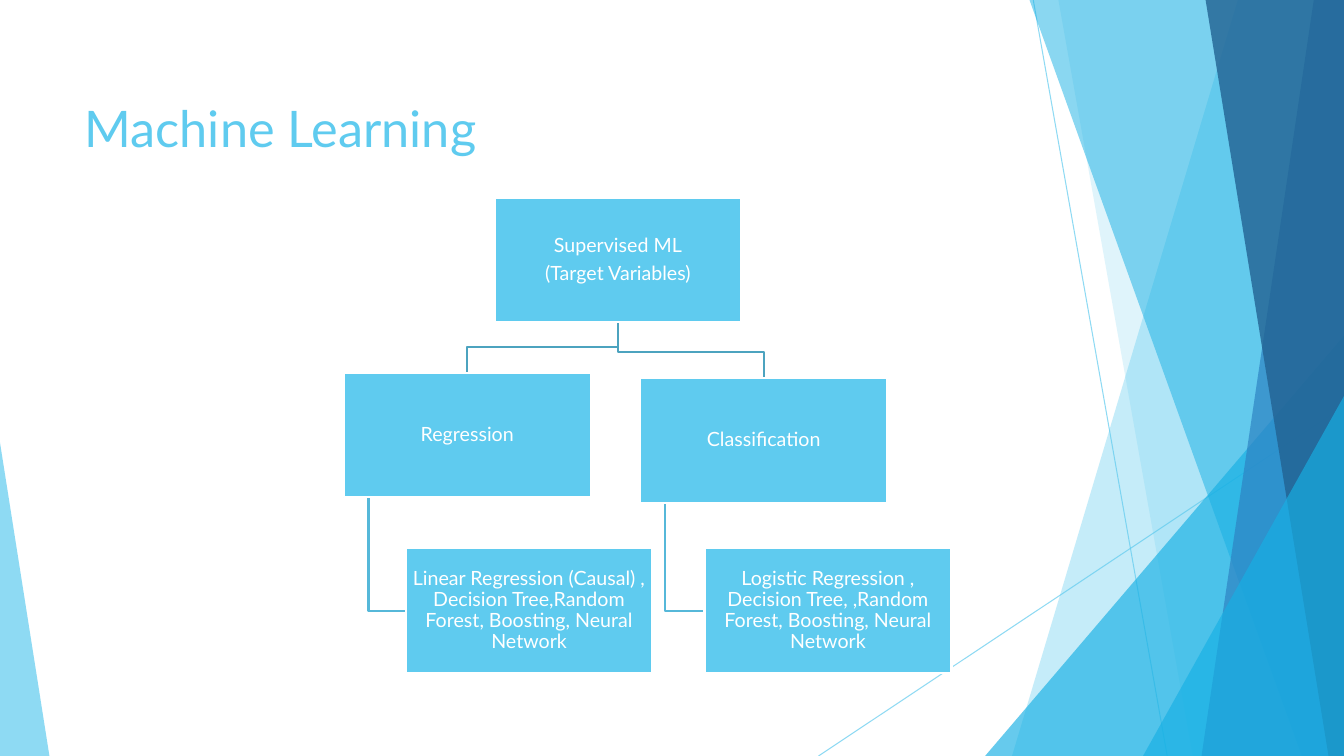
from lxml import etree
from pptx import Presentation
from pptx import util as u
from pptx.dml.color import RGBColor
from pptx.enum import shapes, text
from pptx.oxml.ns import qn

COLOURS = {"sky": "5FCBEF", "cyan": "17B0E4", "blue": "2E83C3", "navy": "226292",
           "trunk": "4CA3BF", "twig": "56B8D9", "white": "FFFFFF"}
FONT = "Lato"
WIDTH, HEIGHT = u.Inches(13.33), u.Inches(7.5)


def paint(fill, colour):
    """Give a fill one solid colour."""
    fill.solid()
    fill.fore_color.rgb = RGBColor.from_string(COLOURS[colour])


def fade(shape, percent):
    """Set the opacity of every colour in the shape's properties."""
    for colour in list(shape.element.spPr.iter(qn("a:srgbClr"))):
        etree.SubElement(colour, qn("a:alpha"), val=str(percent * 1000))


def write(frame, lines, size, colour, align, anchor, inset=(0.1, 0.05), spacing=None, after=0):
    """Fill a text frame with formatted paragraphs."""
    frame.word_wrap = True
    frame.auto_size = text.MSO_AUTO_SIZE.NONE
    frame.vertical_anchor = anchor
    frame.margin_left = frame.margin_right = u.Inches(inset[0])
    frame.margin_top = frame.margin_bottom = u.Inches(inset[1])
    for index, line in enumerate(lines):
        paragraph = frame.add_paragraph() if index else frame.paragraphs[0]
        paragraph.alignment = align
        paragraph.line_spacing = spacing
        paragraph.space_before, paragraph.space_after = u.Pt(0), u.Pt(after)
        run = paragraph.add_run()
        run.text = line
        run.font.name, run.font.size = FONT, u.Pt(size)
        run.font.color.rgb = RGBColor.from_string(COLOURS[colour])


def outline(slide, points, close):
    """Draw a freeform through the given points."""
    builder = slide.shapes.build_freeform(*points[0])
    builder.add_line_segments(points[1:], close=close)
    shape = builder.convert_to_shape()
    shape.shadow.inherit = False
    return shape


def backdrop(slide, width, height):
    """Draw the slanted rays, bands and wedges, placed in percent of the slide."""
    def x(share):
        return round(width * share / 100)

    def y(share):
        return round(height * share / 100)

    def ray(x1, y1, x2, y2):
        line = slide.shapes.add_connector(shapes.MSO_CONNECTOR.STRAIGHT, x(x1), y(y1), x(x2), y(y2))
        paint(line.line.fill, "sky")
        line.line.width = u.Pt(0.75)
        fade(line, 70)
        etree.SubElement(line.element.spPr, qn("a:effectLst"))

    def finish(shape, colour, opacity):
        paint(shape.fill, colour)
        shape.line.fill.background()
        fade(shape, opacity)

    def band(top, bottom, colour, opacity):
        corners = [(x(top), 0), (x(100), 0), (x(100), y(100)), (x(bottom), y(100))]
        finish(outline(slide, corners, True), colour, opacity)

    def wedge(left, right, top, apex, colour, opacity):
        shape = slide.shapes.add_shape(shapes.MSO_SHAPE.ISOSCELES_TRIANGLE, x(left), y(top),
                                       x(right - left), y(100 - top))
        shape.adjustments[0] = apex
        shape.shadow.inherit = False
        finish(shape, colour, opacity)

    ray(76.88, 0, 86.85, 100)
    ray(100, 53.73, 60.9, 100)
    band(92.1, 75.3, "sky", 36)
    band(78.75, 88.75, "sky", 20)
    wedge(73.3, 100, 44.4, 1, "cyan", 66)
    band(76.6, 96.85, "cyan", 50)
    band(97.75, 89.4, "blue", 70)
    band(89.7, 98.85, "navy", 80)
    wedge(85.05, 100, 52.4, 1, "cyan", 66)
    wedge(0, 3.68, 58.53, 0, "sky", 70)


def heading(slide, left, top, width, height, words):
    """Place the title above the backdrop."""
    title = slide.shapes.title
    title.left, title.top, title.width, title.height = left, top, width, height
    write(title.text_frame, [words], 36, "sky", text.PP_ALIGN.LEFT, text.MSO_ANCHOR.TOP)
    slide.shapes.element.append(title.element)


def model_tree(slide, left, top, column, row):
    """Draw the learning hierarchy on a grid one node wide and one level high."""
    node_height, bend, indent = 0.71, 0.15, 0.1
    root = (0.61, 0, ["Supervised ML", "(Target Variables)"])
    regression = (0, 1, ["Regression"])
    classification = (1.2, 1.03, ["Classification"])
    regression_models = (0.25, 2, [
        "Linear Regression (Causal) , Decision Tree,Random Forest, Boosting, Neural Network"])
    classification_models = (1.46, 2, [
        "Logistic Regression , Decision Tree, ,Random Forest, Boosting, Neural Network"])

    def at(across, down):
        return round(left + across * column), round(top + down * row)

    def link(points, colour):
        shape = outline(slide, [at(*point) for point in points], False)
        shape.fill.background()
        paint(shape.line.fill, colour)
        shape.line.width = u.Pt(1.5)

    def twig(parent, child):
        stem, level = parent[0] + indent, child[1] + node_height / 2
        link([(stem, parent[1] + node_height), (stem, level), (child[0], level)], "twig")

    def trunk(parent, child):
        start, end, level = parent[0] + 0.5, child[0] + 0.5, child[1] - bend
        link([(start, parent[1] + node_height), (start, level), (end, level), (end, child[1])],
             "trunk")

    def node(across, down, lines):
        box = slide.shapes.add_shape(shapes.MSO_SHAPE.RECTANGLE, *at(across, down), column,
                                     round(node_height * row))
        box.shadow.inherit = False
        paint(box.fill, "sky")
        paint(box.line.fill, "white")
        box.line.width = u.Pt(1.5)
        write(box.text_frame, lines, 14, "white", text.PP_ALIGN.CENTER, text.MSO_ANCHOR.MIDDLE,
              inset=(0.01, 0.01), spacing=0.9, after=4.9)

    twig(classification, classification_models)
    trunk(root, classification)
    twig(regression, regression_models)
    trunk(root, regression)
    for member in (root, regression, regression_models, classification, classification_models):
        node(*member)


def main():
    """Build and save the slide."""
    deck = Presentation()
    deck.slide_width, deck.slide_height = WIDTH, HEIGHT
    slide = deck.slides.add_slide(deck.slide_layouts[5])
    backdrop(slide, WIDTH, HEIGHT)
    heading(slide, u.Inches(0.74), u.Inches(0.91), u.Inches(9.4), u.Inches(1.44),
            "Machine Learning")
    model_tree(slide, u.Inches(3.41), u.Inches(1.96), u.Inches(2.45), u.Inches(1.74))
    deck.save("out.pptx")


if __name__ == "__main__":
    main()
